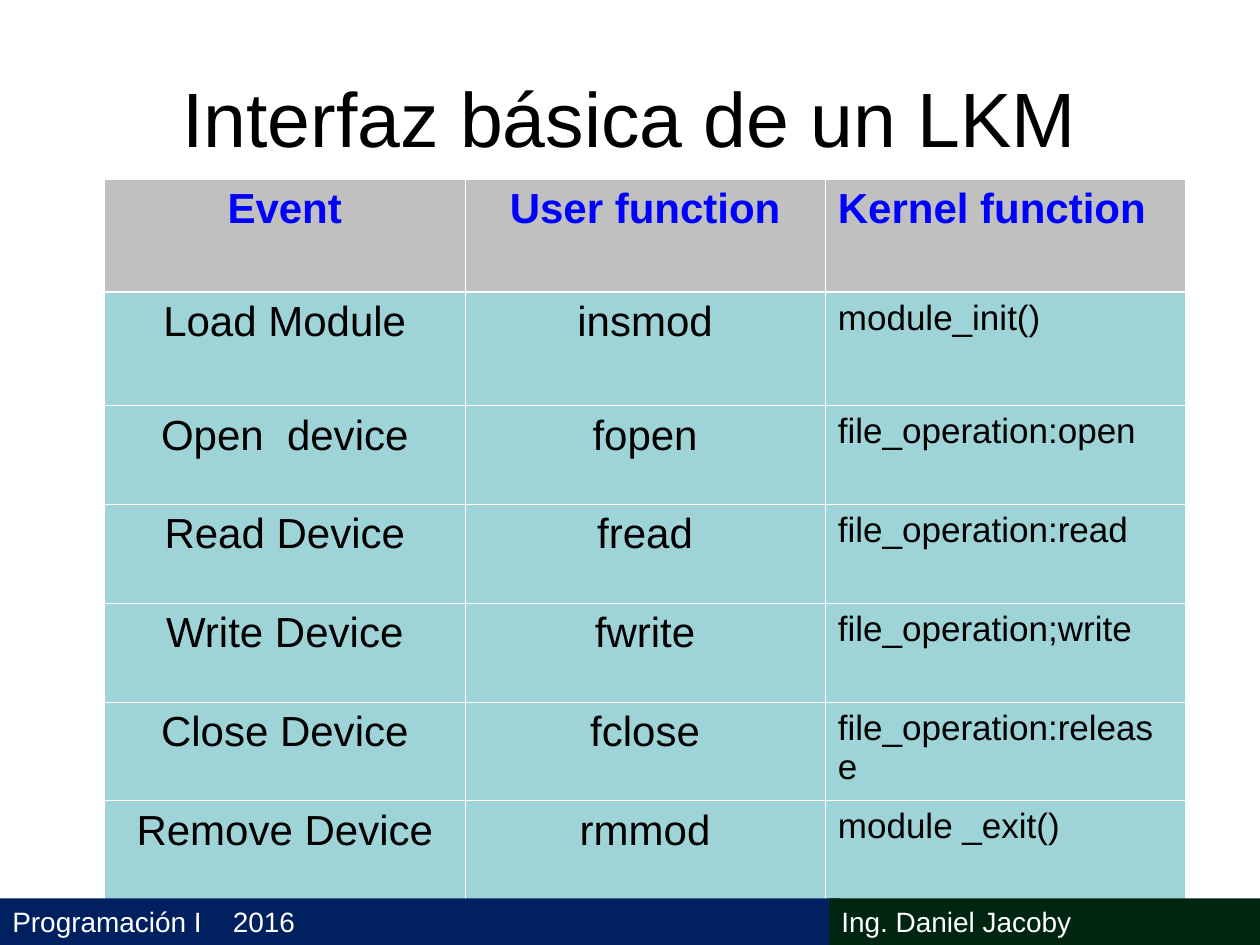
from pptx import Presentation
from pptx.dml.color import RGBColor
from pptx.enum.shapes import MSO_SHAPE
from pptx.enum.text import MSO_ANCHOR, PP_ALIGN
from pptx.oxml.ns import qn
from pptx.util import Inches, Pt
from lxml import etree

RECT = MSO_SHAPE.RECTANGLE
MIDDLE = MSO_ANCHOR.MIDDLE
LEFT, CENTER = PP_ALIGN.LEFT, PP_ALIGN.CENTER

BLACK = RGBColor(0x00, 0x00, 0x00)
WHITE = RGBColor(0xFF, 0xFF, 0xFF)
BLUE = RGBColor(0x00, 0x00, 0xFF)
GRAY = RGBColor(0xC0, 0xC0, 0xC0)
TEAL = RGBColor(0x9E, 0xD3, 0xD7)
NAVY = RGBColor(0x00, 0x20, 0x60)
GREEN = RGBColor(0x00, 0x26, 0x11)

ROWS = [
    ("Event", "User function", "Kernel function"),
    ("Load Module", "insmod", "module_init()"),
    ("Open  device", "fopen", "file_operation:open"),
    ("Read Device", "fread", "file_operation:read"),
    ("Write Device", "fwrite", "file_operation;write"),
    ("Close Device", "fclose", "file_operation:release"),
    ("Remove Device", "rmmod", "module _exit()"),
]


def write(frame, text, size, color, align=LEFT, bold=False):
    frame.text = text
    para = frame.paragraphs[0]
    para.alignment = align
    for run in para.runs:
        run.font.name = "Arial"
        run.font.size = Pt(size)
        run.font.bold = bold
        run.font.color.rgb = color


def add_border(cell, side, width):
    """Draw a white line on one side: lnL, lnR, lnT or lnB, in that order."""
    props = cell._tc.get_or_add_tcPr()
    line = etree.SubElement(props, qn(f"a:{side}"), w=str(Pt(width)))
    fill = etree.SubElement(line, qn("a:solidFill"))
    etree.SubElement(fill, qn("a:srgbClr"), val=str(WHITE))


prs = Presentation()
prs.slide_width, prs.slide_height = Inches(10), Inches(7.5)
slide = prs.slides.add_slide(prs.slide_layouts[6])
shapes = slide.shapes

# Title
title = shapes.add_textbox(Inches(0.5), Inches(0.3), Inches(9), Inches(1.25))
title.text_frame.word_wrap = True
title.text_frame.vertical_anchor = MIDDLE
write(title.text_frame, "Interfaz básica de un LKM", 44, BLACK, CENTER)

# Table of events: two tall rows, the others share what is left
table = shapes.add_table(len(ROWS), 3, Inches(0.83), Inches(1.42),
                         Inches(8.58), Inches(5.72)).table
for r, row in enumerate(ROWS):
    head = r == 0
    table.rows[r].height = Inches(0.9 if r < 2 else (5.72 - 2 * 0.9) / 5)
    for c, text in enumerate(row):
        cell = table.cell(r, c)
        size = 24 if head or c < 2 else 20
        write(cell.text_frame, text, size, BLUE if head else BLACK,
              CENTER if c < 2 else LEFT, head)
        for side in ("lnL", "lnR", "lnT", "lnB"):
            thick = (r, side) in ((0, "lnB"), (1, "lnT"))
            add_border(cell, side, 1.5 if thick else 0.45)
        cell.fill.solid()
        cell.fill.fore_color.rgb = GRAY if head else TEAL

# Footer bars
for left, width, color, text in (
    (0, 6.67, NAVY, "Programación I\t2016"),
    (6.58, 3.42, GREEN, "Ing. Daniel Jacoby"),
):
    bar = shapes.add_shape(RECT, Inches(left), Inches(7.13),
                           Inches(width), Inches(0.37))
    bar.shadow.inherit = False
    bar.fill.solid()
    bar.fill.fore_color.rgb = color
    bar.line.fill.background()
    frame = bar.text_frame
    frame.word_wrap = True
    write(frame, text, 16, WHITE)
    if "\t" in text:
        props = frame.paragraphs[0]._p.get_or_add_pPr()
        tabs = etree.SubElement(props, qn("a:tabLst"))
        etree.SubElement(tabs, qn("a:tab"), pos=str(Inches(1.75)), algn="l")

prs.save("out.pptx")
